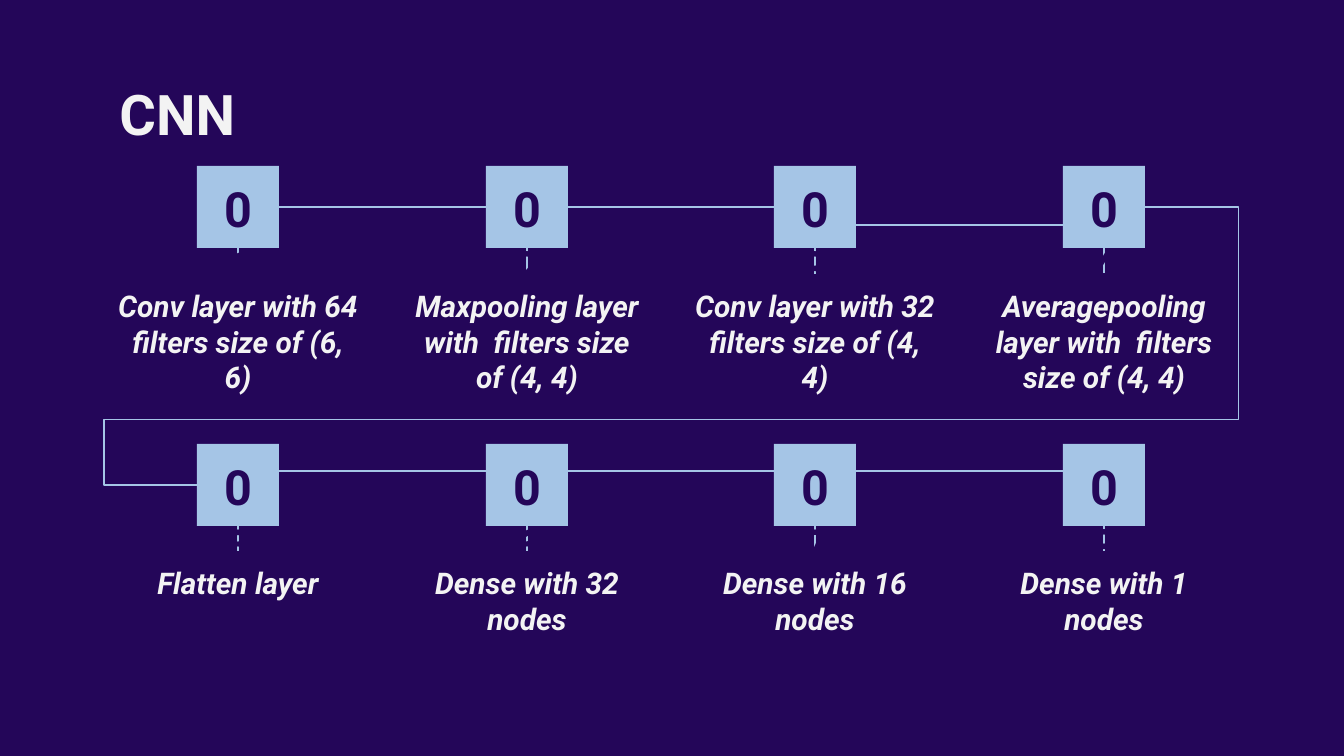
from dataclasses import dataclass

from lxml import etree
from pptx import Presentation
from pptx.dml.color import RGBColor
from pptx.enum.shapes import MSO_CONNECTOR, MSO_SHAPE
from pptx.enum.text import MSO_ANCHOR, MSO_AUTO_SIZE, PP_ALIGN
from pptx.oxml.ns import qn
from pptx.util import Emu, Inches, Pt

STRAIGHT, ELBOW = MSO_CONNECTOR.STRAIGHT, MSO_CONNECTOR.ELBOW
LEFT, CENTER = PP_ALIGN.LEFT, PP_ALIGN.CENTER
TOP_SIDE, LEFT_SIDE, BOTTOM_SIDE, RIGHT_SIDE = range(4)

EMU_PER_PX = 914400 / 134.4
FONT = "Roboto"
COLORS = {"background": "240659", "light": "F3F3F3", "accent": "A5C5E6"}

SQUARE = 82
FIRST_CENTER = 238
COLUMN_PITCH = 288.6
CAPTION_WIDTH, CAPTION_HEIGHT = 266, 125
LINK_INSET = 13  # links off the middle line stop this far from the centers


@dataclass
class Row:
    square_top: int
    caption_top: int
    captions: list[str]
    link_heights: list[int | None]  # None joins the middles of the sides


ROWS = [
    Row(166, 274, [
        "Conv layer with 64 filters size of (6, 6)",
        "Maxpooling layer with  filters size of (4, 4)",
        "Conv layer with 32 filters size of (4, 4)",
        "Averagepooling layer with  filters size of (4, 4)",
    ], [None, None, 225]),
    Row(444, 551, [
        "Flatten layer",
        "Dense with 32 nodes",
        "Dense with 16 nodes",
        "Dense with 1 nodes",
    ], [471, 471, 471]),
]


def px(value: int) -> Emu:
    return Emu(round(value * EMU_PER_PX))


def rgb(name: str) -> RGBColor:
    return RGBColor.from_string(COLORS[name])


def column_center(column: int) -> int:
    return FIRST_CENTER + round(column * COLUMN_PITCH)


def write_text(shape, text: str, *, size: int, color: str = "light",
               align=CENTER, italic: bool = False) -> None:
    frame = shape.text_frame
    frame.word_wrap = True
    frame.auto_size = MSO_AUTO_SIZE.NONE
    frame.vertical_anchor = MSO_ANCHOR.TOP
    frame.margin_left = frame.margin_right = Inches(0.1)
    frame.margin_top = frame.margin_bottom = Inches(0.1)
    paragraph = frame.paragraphs[0]
    paragraph.alignment = align
    run = paragraph.add_run()
    run.text = text
    run.font.name = FONT
    run.font.size = Pt(size)
    run.font.bold = True
    run.font.italic = italic
    run.font.color.rgb = rgb(color)


def add_caption(slide, center: int, top: int, text: str):
    caption = slide.shapes.add_textbox(
        px(center - CAPTION_WIDTH // 2), px(top), px(CAPTION_WIDTH), px(CAPTION_HEIGHT))
    write_text(caption, text, size=16, italic=True)
    return caption


def add_square(slide, center: int, top: int, number: int):
    square = slide.shapes.add_shape(
        MSO_SHAPE.RECTANGLE, px(center - SQUARE // 2), px(top), px(SQUARE), px(SQUARE))
    square.shadow.inherit = False
    square.fill.solid()
    square.fill.fore_color.rgb = rgb("accent")
    square.line.fill.background()
    write_text(square, f"{number:02d}", size=26, color="background")
    return square


def add_line(slide, start: tuple[int, int] = (0, 0), end: tuple[int, int] = (0, 0),
             kind=STRAIGHT):
    line = slide.shapes.add_connector(kind, *map(px, start + end))
    line.line.color.rgb = rgb("accent")
    line.line.width = Pt(0.75)
    etree.SubElement(line._element.spPr, qn("a:effectLst"))
    slide.shapes._spTree.insert(2, line._element)  # behind squares and captions
    return line


def join(slide, first, first_side: int, second, second_side: int, kind=STRAIGHT):
    line = add_line(slide, kind=kind)
    line.begin_connect(first, first_side)
    line.end_connect(second, second_side)
    return line


def add_row(slide, row: Row, first_number: int) -> list:
    squares = []
    for column, text in enumerate(row.captions):
        center = column_center(column)
        caption = add_caption(slide, center, row.caption_top, text)
        square = add_square(slide, center, row.square_top, first_number + column)
        join(slide, square, BOTTOM_SIDE, caption, TOP_SIDE)
        squares.append(square)
    for column, height in enumerate(row.link_heights):
        if height is None:
            join(slide, squares[column], RIGHT_SIDE, squares[column + 1], LEFT_SIDE)
        else:
            add_line(slide, (column_center(column) + LINK_INSET, height),
                     (column_center(column + 1) - LINK_INSET, height))
    return squares


def add_row_return(slide, last_square, next_square) -> None:
    line = join(slide, last_square, RIGHT_SIDE, next_square, LEFT_SIDE, ELBOW)
    geometry = line._element.spPr.find(qn("a:prstGeom"))
    geometry.set("prst", "bentConnector5")
    guides = geometry.find(qn("a:avLst"))
    for index, value in enumerate((-9900, 76400, 109800), start=1):
        etree.SubElement(guides, qn("a:gd"), name=f"adj{index}", fmla=f"val {value}")


def main() -> None:
    presentation = Presentation()
    presentation.slide_width, presentation.slide_height = px(1344), px(756)
    slide = presentation.slides.add_slide(presentation.slide_layouts[5])
    slide.background.fill.solid()
    slide.background.fill.fore_color.rgb = rgb("background")

    # Title
    title = slide.shapes.title
    title.left, title.top, title.width, title.height = map(px, (106, 66, 1133, 85))
    write_text(title, "CNN", size=30, align=LEFT)

    # Two rows of layers and the line that leads from one to the next
    upper, lower = (add_row(slide, row, 1 + index * len(row.captions))
                    for index, row in enumerate(ROWS))
    add_row_return(slide, upper[-1], lower[0])

    presentation.save("out.pptx")


if __name__ == "__main__":
    main()
